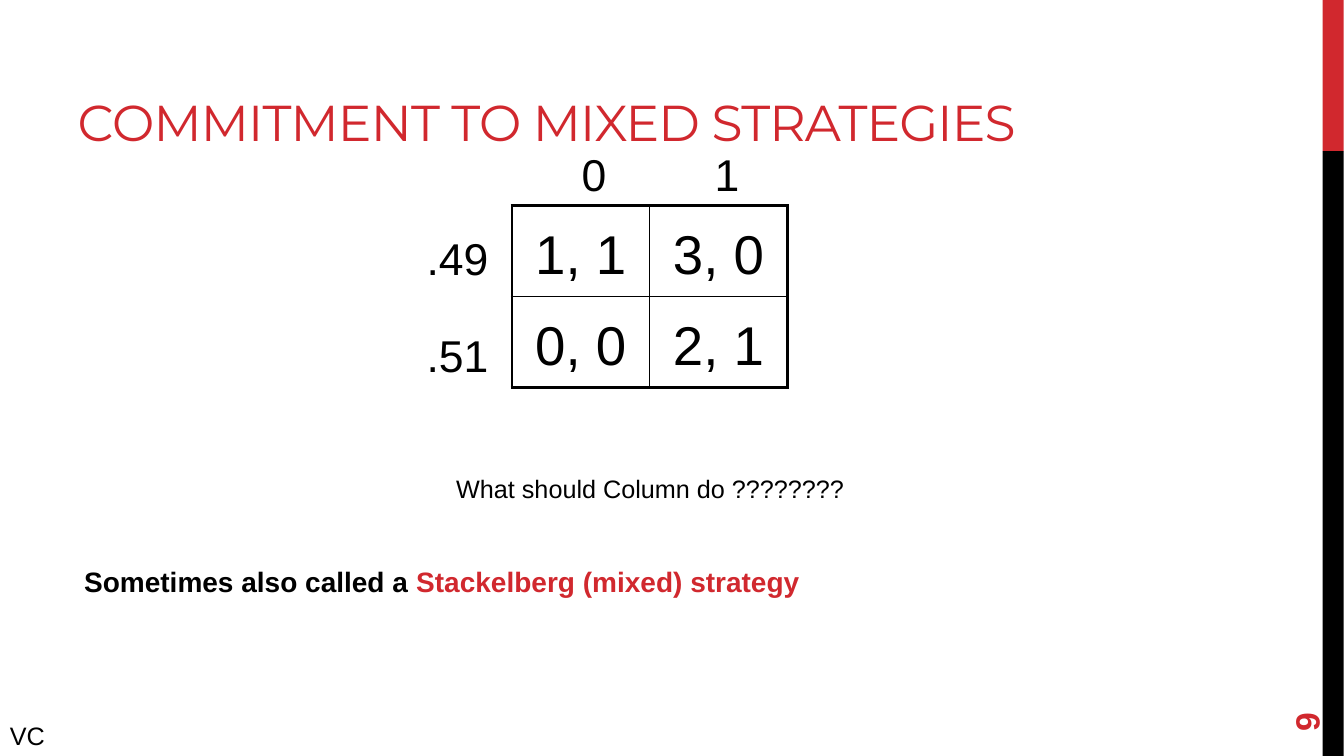
from lxml.etree import SubElement as Sub
from pptx import Presentation
from pptx.dml.color import RGBColor as Rgb
from pptx.enum.shapes import MSO_SHAPE as Shape
from pptx.enum.text import MSO_ANCHOR as Anchor, MSO_AUTO_SIZE as Auto, PP_ALIGN as Align
from pptx.oxml.ns import qn
from pptx.util import Cm, Pt

HUES = {"red": "D1282E", "black": "000000"}
TITLE = "COMMITMENT TO MIXED STRATEGIES"
GAME = [["1, 1", "3, 0"], ["0, 0", "2, 1"]]
ODDS = [".49", ".51"]
MOVES = ["0", "1"]
ASK = "What should Column do ????????"
NOTE = [("Sometimes also called a ", "black"), ("Stackelberg (mixed) strategy", "red")]
MARK = "VC"
PAGE = "9"
BARS = [("red", 0, 3.81), ("black", 3.81, 15.24)]
GRID = (12.9, 5.18)
CELL = (3.47, 2.29)
THICK, THIN = 2.25, 1


def tint(name):
    return Rgb.from_string(HUES[name])


def style(para, size, hue="black", bold=False, face="Arial", align=Align.LEFT, lead=1.0):
    para.alignment = align
    para.line_spacing = lead
    font = para.font
    font.name, font.size, font.bold = face, Pt(size), bold
    font.color.rgb = tint(hue)


def add_text(slide, spot, text, size, wrap=True, grow=True, **look):
    box = slide.shapes.add_textbox(*map(Cm, spot))
    frame = box.text_frame
    frame.word_wrap = wrap
    frame.auto_size = Auto.SHAPE_TO_FIT_TEXT if grow else Auto.NONE
    para = frame.paragraphs[0]
    if text:
        para.add_run().text = text
    style(para, size, **look)
    return box


def add_bars(slide):
    for hue, top, high in BARS:
        bar = slide.shapes.add_shape(Shape.RECTANGLE, Cm(33.33), Cm(top), Cm(0.53), Cm(high))
        bar.shadow.inherit = False
        bar.fill.solid()
        bar.fill.fore_color.rgb = tint(hue)
        bar.line.fill.background()


def add_title(slide):
    title = slide.shapes.title
    title.left, title.top, title.width, title.height = map(Cm, (1.7, 0.76, 30.48, 3.18))
    frame = title.text_frame
    frame.text = TITLE
    frame.auto_size = Auto.NONE
    frame.vertical_anchor = Anchor.BOTTOM
    para = frame.paragraphs[0]
    style(para, 36, "red", face="Montserrat")
    para.runs[0].font.size = Pt(36)
    para.runs[0]._r.get_or_add_rPr().set("spc", "-60")


def edge(cell, sides):
    props = cell._tc.get_or_add_tcPr()
    for tag, width in sides.items():
        line = Sub(props, qn(f"a:ln{tag}"), w=str(Pt(width)))
        Sub(Sub(line, qn("a:solidFill")), qn("a:srgbClr"), val=HUES["black"])
    cell.fill.background()


def add_game(slide):
    rows, cols = len(GAME), len(GAME[0])
    wide, high = CELL
    spot = map(Cm, (*GRID, cols * wide, rows * high))
    table = slide.shapes.add_table(rows, cols, *spot).table
    table.first_row = table.horz_banding = False
    for r, line in enumerate(GAME):
        for c, text in enumerate(line):
            cell = table.cell(r, c)
            cell.text = text
            style(cell.text_frame.paragraphs[0], 39, align=Align.CENTER, lead=1.24)
            edge(cell, {
                "L": THIN if c else THICK,
                "R": THIN if c < cols - 1 else THICK,
                "T": THIN if r else THICK,
                "B": THIN if r < rows - 1 else THICK,
            })


def add_labels(slide):
    look = dict(size=31.8, wrap=False, align=Align.CENTER, lead=1.18)
    for i, text in enumerate(ODDS):
        add_text(slide, (10.49, 5.46 + 2.44 * i, 2.08, 1.73), text, **look)
    for i, text in enumerate(MOVES):
        add_text(slide, (14.4 + 3.35 * i, 3.35, 1.14, 1.73), text, **look)


def add_note(slide):
    box = add_text(slide, (1.8, 13.89, 23.42, 1.91), "", 20, grow=False, bold=True, lead=1.24)
    para = box.text_frame.paragraphs[0]
    props = para._p.get_or_add_pPr()
    props.set("marL", str(Cm(0.86)))
    props.set("indent", str(Cm(-0.79)))
    for text, hue in NOTE:
        run = para.add_run()
        run.text = text
        run.font.color.rgb = tint(hue)


def main():
    deck = Presentation()
    deck.slide_width, deck.slide_height = Cm(33.87), Cm(19.05)
    slide = deck.slides.add_slide(deck.slide_layouts[5])
    add_bars(slide)
    add_title(slide)
    add_game(slide)
    add_labels(slide)
    add_note(slide)
    page = add_text(slide, (31.09, 16.18, 3.66, 1.35), PAGE, 24, grow=False, hue="red", bold=True)
    page.rotation = 270
    page.text_frame.vertical_anchor = Anchor.MIDDLE
    add_text(slide, (0, 18.03, 1.93, 1.02), MARK, 18)
    add_text(slide, (11, 11.81, 10.77, 1.02), ASK, 18, align=Align.CENTER)
    deck.save("out.pptx")


if __name__ == "__main__":
    main()
